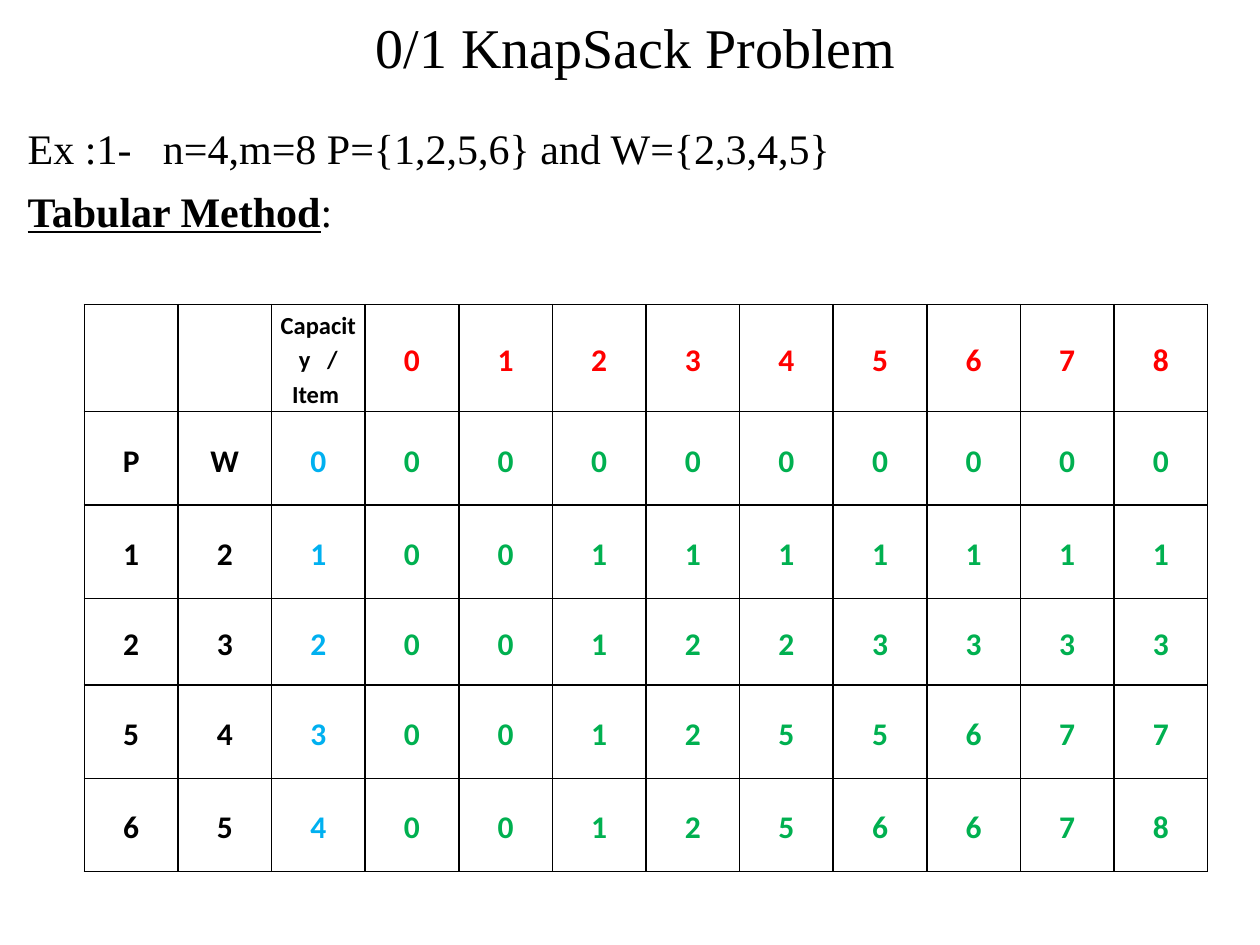
from lxml import etree
from pptx import Presentation
from pptx import util as u
from pptx.dml.color import RGBColor
from pptx.enum import text
from pptx.oxml.ns import qn

BLACK, RED, BLUE, GREEN = "000000", "FF0000", "00B0F0", "00B050"
SERIF, SANS = "Times New Roman", "Calibri"

HEAD = ["", "", "Capacity   / Item "] + [str(cap) for cap in range(9)]
ROWS = [row.split() for row in (
    "P W 0 0 0 0 0 0 0 0 0 0",
    "1 2 1 0 0 1 1 1 1 1 1 1",
    "2 3 2 0 0 1 2 2 3 3 3 3",
    "5 4 3 0 0 1 2 5 5 6 7 7",
    "6 5 4 0 0 1 2 5 6 6 7 8",
)]
HEIGHTS = [2.16, 1.88, 1.88, 1.75, 1.88, 1.88]


def paint(hue):
    return RGBColor.from_string(hue)


def style(run, size, face, hue=BLACK, bold=False):
    font = run.font
    font.size, font.name, font.bold = u.Pt(size), face, bold
    font.color.rgb = paint(hue)


def add_box(slide, left, top, width, height, anchor):
    box = slide.shapes.add_textbox(*map(u.Cm, (left, top, width, height)))
    frame = box.text_frame
    frame.word_wrap = True
    frame.vertical_anchor = anchor
    frame.margin_left = frame.margin_right = u.Cm(0.13)
    frame.margin_top = frame.margin_bottom = u.Cm(0.13)
    return frame


def add_title(slide, left, top, width, height):
    frame = add_box(slide, left, top, width, height, text.MSO_ANCHOR.MIDDLE)
    frame.text = "0/1 KnapSack Problem"
    para = frame.paragraphs[0]
    para.alignment = text.PP_ALIGN.CENTER
    style(para.runs[0], 32, SERIF)


def add_intro(slide, left, top, width, height):
    frame = add_box(slide, left, top, width, height, text.MSO_ANCHOR.TOP)
    frame.text = "Ex :1-   n=4,m=8 P={1,2,5,6} and W={2,3,4,5}\nTabular Method"
    task, method = frame.paragraphs
    method.add_run().text = ":"
    for para in (task, method):
        para.space_before = u.Pt(7)
        for run in para.runs:
            style(run, 24, SERIF)
    label = method.runs[0].font
    label.bold = label.underline = True


def add_edges(cell):
    props = cell._tc.get_or_add_tcPr()
    for i, side in enumerate(("lnL", "lnR", "lnT", "lnB")):
        line = etree.Element(qn("a:" + side), w=str(u.Pt(1)))
        fill = etree.SubElement(line, qn("a:solidFill"))
        etree.SubElement(fill, qn("a:srgbClr"), val=BLACK)
        props.insert(i, line)


def pick_hue(r, c):
    if c < 2 or (r == 0 and c == 2):
        return BLACK
    if r == 0:
        return RED
    return BLUE if c == 2 else GREEN


def fill_cell(cell, word, size, hue):
    cell.fill.background()
    add_edges(cell)
    cell.vertical_anchor = text.MSO_ANCHOR.MIDDLE
    cell.margin_left = cell.margin_right = u.Cm(0.18)
    cell.margin_top = cell.margin_bottom = 0
    if not word:
        return
    cell.text_frame.text = word
    para = cell.text_frame.paragraphs[0]
    para.alignment = text.PP_ALIGN.CENTER
    para.line_spacing = 1.15
    style(para.runs[0], size, SANS, hue, True)


def add_grid(slide, left, top, width):
    data = [HEAD] + ROWS
    area = map(u.Cm, (left, top, width, sum(HEIGHTS)))
    grid = slide.shapes.add_table(len(data), len(HEAD), *area).table
    grid.first_row = grid.horz_banding = False
    for col in grid.columns:
        col.width = u.Cm(width / len(HEAD))
    for r, words in enumerate(data):
        grid.rows[r].height = u.Cm(HEIGHTS[r])
        for c, word in enumerate(words):
            size = 14 if (r, c) == (0, 2) else 18
            fill_cell(grid.cell(r, c), word, size, pick_hue(r, c))


def main():
    deck = Presentation()
    deck.slide_width, deck.slide_height = u.Cm(25.4), u.Cm(19.05)
    slide = deck.slides.add_slide(deck.slide_layouts[6])
    # Heading and problem statement
    add_title(slide, 0.43, 0.2, 24.77, 1.47)
    add_intro(slide, 0.43, 2.34, 24.33, 16.31)
    # Profit by item and capacity
    add_grid(slide, 1.7, 6.14, 22.65)
    deck.save("out.pptx")


if __name__ == "__main__":
    main()
